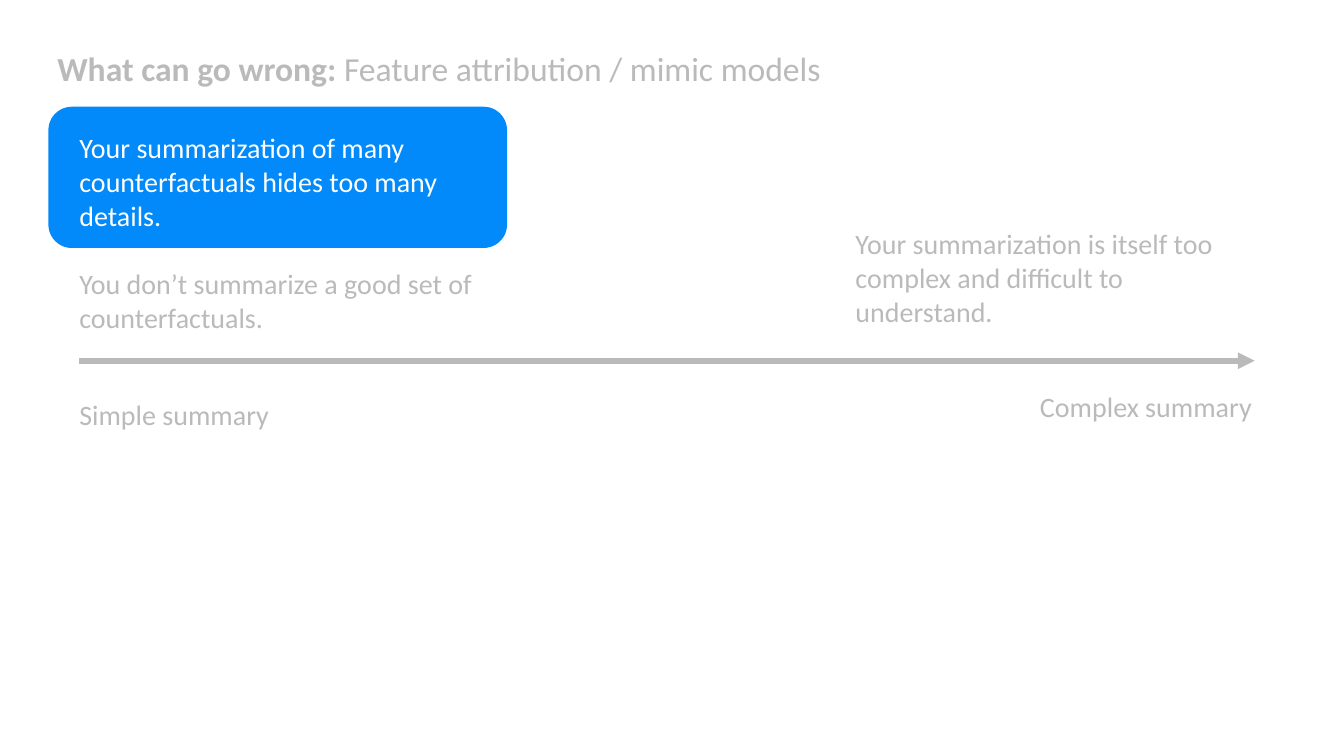
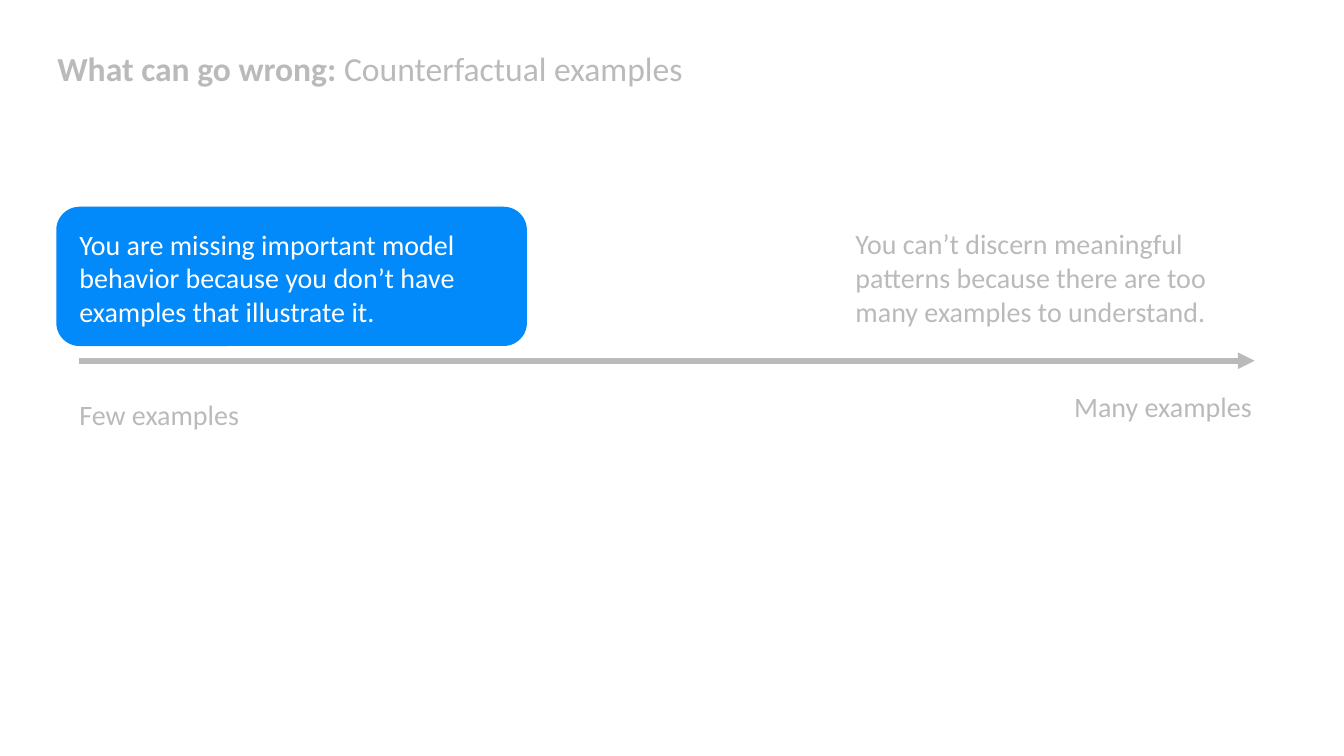
from dataclasses import dataclass

from lxml.etree import SubElement
from pptx import Presentation
from pptx.dml.color import RGBColor
from pptx.enum.shapes import MSO_CONNECTOR, MSO_SHAPE
from pptx.enum.text import MSO_ANCHOR, MSO_AUTO_SIZE, PP_ALIGN
from pptx.oxml.ns import qn
from pptx.util import Cm, Pt


@dataclass(frozen=True)
class Theme:
    font: str = "Calibri"
    ink: RGBColor = RGBColor(0, 0, 0)
    paper: RGBColor = RGBColor(255, 255, 255)
    accent: RGBColor = RGBColor(0x02, 0x89, 0xFA)
    title_size: int = 24
    body_size: int = 20
    line_width: int = 4
    veil_opacity: int = 73


LEFT, RIGHT = 1.75, 21.31
TEXT_WIDTH = 10.49
INSET = 0.25
AXIS_Y = 9.09
PROBLEM_TOP = 5.59
PREFIX = "What can go wrong: "


class Deck:
    def __init__(self, theme):
        self.theme = theme
        self.prs = Presentation()
        self.prs.slide_width, self.prs.slide_height = Cm(33.87), Cm(19.05)
        self.s = None

    def fill_text(self, tf, runs, size, color, align=PP_ALIGN.LEFT, **frame):
        layout = {"word_wrap": True, "auto_size": MSO_AUTO_SIZE.NONE,
                  "vertical_anchor": MSO_ANCHOR.TOP, **frame}
        for name, value in layout.items():
            setattr(tf, name, value)
        p = tf.paragraphs[0]
        p.alignment = align
        for text, bold in runs:
            r = p.add_run()
            r.text = text
            style = {"name": self.theme.font, "size": Pt(size), "bold": bold}
            for name, value in style.items():
                setattr(r.font, name, value)
            r.font.color.rgb = color

    def slide(self, topic):
        self.s = self.prs.slides.add_slide(self.prs.slide_layouts[5])
        sp = self.s.shapes.title
        box = {"left": 1.19, "top": 1.07, "width": 23.85, "height": 2.31}
        for name, value in box.items():
            setattr(sp, name, Cm(value))
        self.fill_text(sp.text_frame, [(PREFIX, True), (topic, False)],
                       self.theme.title_size, self.theme.ink)

    def text(self, text, left, top, height, align=PP_ALIGN.LEFT):
        sp = self.s.shapes.add_textbox(Cm(left), Cm(top), Cm(TEXT_WIDTH), Cm(height))
        self.fill_text(sp.text_frame, [(text, False)], self.theme.body_size,
                       self.theme.ink, align)

    def axis(self, low, high):
        line = self.s.shapes.add_connector(
            MSO_CONNECTOR.STRAIGHT, Cm(LEFT + INSET), Cm(AXIS_Y), Cm(31.62), Cm(AXIS_Y))
        line.line.color.rgb = self.theme.ink
        line.line.width = Pt(self.theme.line_width)
        props = line._element.spPr
        SubElement(props.find(qn("a:ln")), qn("a:tailEnd"), type="triangle")
        SubElement(props, qn("a:effectLst"))
        self.text(low, LEFT, AXIS_Y + 0.79, 1.12)
        self.text(high, RIGHT, AXIS_Y + 0.59, 1.12, PP_ALIGN.RIGHT)

    def shape(self, kind, box, color):
        sp = self.s.shapes.add_shape(kind, *map(Cm, box))
        sp.shadow.inherit = False
        sp.fill.solid()
        sp.fill.fore_color.rgb = color
        sp.line.fill.background()
        return sp

    def veil(self):
        sp = self.shape(MSO_SHAPE.RECTANGLE, (1, 0.65, 32.2, 17.63), self.theme.paper)
        color = sp._element.spPr.find(qn("a:solidFill"))[0]
        SubElement(color, qn("a:alpha"), val=str(self.theme.veil_opacity * 1000))

    def highlight(self, text, box, text_top):
        left, top, width, height = box
        sp = self.shape(MSO_SHAPE.ROUNDED_RECTANGLE, box, self.theme.accent)
        corner = 0.29 * height / 6
        self.fill_text(sp.text_frame, [(text, False)], self.theme.body_size,
                       self.theme.paper,
                       margin_left=Cm(LEFT + INSET - left - corner),
                       margin_top=Cm(text_top - top - corner),
                       margin_right=0, margin_bottom=0)


def main():
    deck = Deck(Theme())

    deck.slide("Feature attribution / mimic models")
    deck.text("Your summarization is itself too complex and difficult to understand.",
              RIGHT, PROBLEM_TOP, 2.82)
    deck.text("You don’t summarize a good set of counterfactuals.", LEFT, 6.6, 1.97)
    deck.axis("Simple summary", "Complex summary")
    deck.veil()
    deck.highlight("Your summarization of many counterfactuals hides too many details.",
                   (1.22, 2.69, 11.56, 3.56), 3.3)

    deck.slide("Counterfactual examples")
    deck.text("You can’t discern meaningful patterns because there are too many "
              "examples to understand.", RIGHT, PROBLEM_TOP, 2.82)
    deck.axis("Few examples", "Many examples")
    deck.veil()
    deck.highlight("You are missing important model behavior because you don’t have "
                   "examples that illustrate it.", (1.42, 5.21, 11.86, 3.51), 5.72)

    deck.prs.save("out.pptx")


if __name__ == "__main__":
    main()
